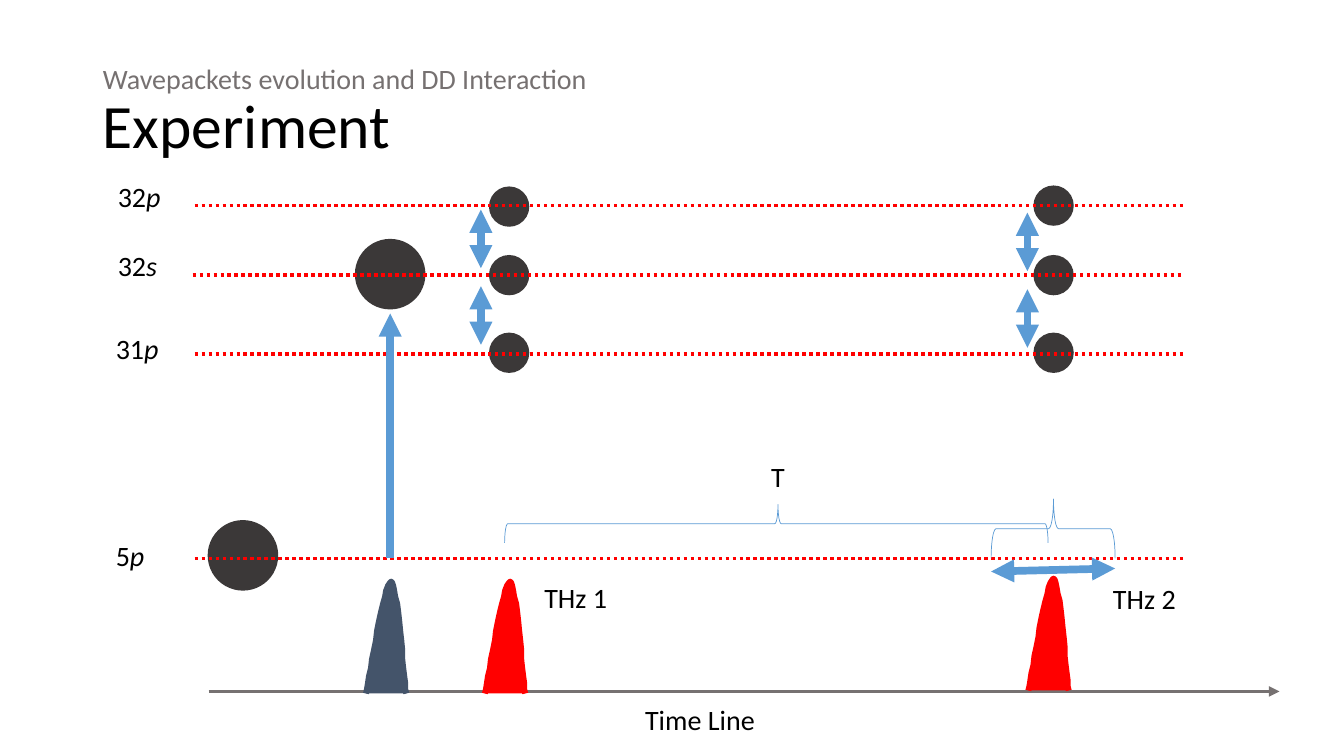
from lxml import etree
from pptx import Presentation
from pptx import util as u
from pptx.dml.color import RGBColor
from pptx.enum import dml, shapes, text
from pptx.oxml.ns import qn

INK = {"black": "000000", "grey": "767171", "ball": "3B3838", "red": "FF0000",
       "blue": "5B9BD5", "navy": "44546A"}
SCALE = 9144


def px(num):
    """Turn px, a hundred to the inch, into EMU."""
    return u.Emu(num * SCALE)


def curve(a, b, c, d, steps=16):
    """List the points of a cubic curve after its start."""
    out = []
    for i in range(1, steps + 1):
        t = i / steps
        s = 1 - t
        out.append(tuple(s**3 * p + 3 * s * s * t * q + 3 * s * t * t * r + t**3 * e
                         for p, q, r, e in zip(a, b, c, d)))
    return out


class Board:
    """Holds the style and the current slide."""

    def __init__(self, deck, font="Calibri", size=20):
        """Add a title-only slide."""
        self.slide = deck.slides.add_slide(deck.slide_layouts[5])
        self.items = self.slide.shapes
        self.font, self.size = font, size

    def tint(self, name):
        """Look up a colour."""
        return RGBColor.from_string(INK[name])

    def run(self, para, words, size=None, ink="black", slant=None):
        """Add one styled run."""
        run = para.add_run()
        run.text = words
        font = run.font
        font.name, font.size = self.font, u.Pt(size or self.size)
        font.color.rgb, font.italic = self.tint(ink), slant

    def title(self, box, small, large):
        """Fill the title with a small line over a large one."""
        head = self.items.title
        head.left, head.top, head.width, head.height = map(px, box)
        frame = head.text_frame
        frame.auto_size = text.MSO_AUTO_SIZE.NONE
        frame.vertical_anchor = text.MSO_ANCHOR.MIDDLE
        para = frame.paragraphs[0]
        para.alignment, para.line_spacing = text.PP_ALIGN.LEFT, 0.9
        self.run(para, small, ink="grey")
        para.add_line_break()
        self.run(para, large, size=44)

    def label(self, x, y, wide, words, state=None):
        """Add a text box, with an italic state letter if given."""
        frame = self.items.add_textbox(px(x), px(y), px(wide), px(44)).text_frame
        frame.word_wrap = True
        frame.auto_size = text.MSO_AUTO_SIZE.SHAPE_TO_FIT_TEXT
        para = frame.paragraphs[0]
        self.run(para, words)
        if state:
            self.run(para, state, slant=True)

    def ball(self, x, y, wide):
        """Add a dark disc."""
        disc = self.items.add_shape(shapes.MSO_SHAPE.OVAL, px(x), px(y), px(wide), px(wide))
        disc.shadow.inherit = False
        disc.fill.solid()
        disc.fill.fore_color.rgb = self.tint("ball")
        disc.line.fill.background()

    def line(self, start, end, ink, weight, ends=(), dots=False):
        """Add a line with optional arrowheads or dots."""
        bar = self.items.add_connector(shapes.MSO_CONNECTOR.STRAIGHT,
                                       *map(px, (*start, *end)))
        bar.line.color.rgb, bar.line.width = self.tint(ink), u.Pt(weight)
        if dots:
            bar.line.dash_style = dml.MSO_LINE.ROUND_DOT
        props = bar._element.spPr
        for end in ends:
            etree.SubElement(props.find(qn("a:ln")), qn(f"a:{end}End"), type="triangle")
        etree.SubElement(props, qn("a:effectLst"))

    def pulse(self, x, y, ink):
        """Add a leaning pulse whose peak is at x, y."""
        foot, peak, back = (15, 111), (0, 0), (-25, 111)
        pts = curve(foot, (12, 93), (6, 0), peak) + curve(peak, (-7, 0), (-21, 93), back)
        path = self.items.build_freeform(x + foot[0], y + foot[1], scale=SCALE)
        path.add_line_segments([(x + a, y + b) for a, b in pts], close=False)
        hill = path.convert_to_shape()
        hill.shadow.inherit = False
        hill.fill.solid()
        hill.fill.fore_color.rgb = hill.line.color.rgb = self.tint(ink)
        hill.line.width = u.Pt(4.25)

    def brace(self, x, y, wide, high):
        """Add a brace turned to point up."""
        mark = self.items.add_shape(shapes.MSO_SHAPE.LEFT_BRACE, *map(px, (x, y, wide, high)))
        mark.rotation = 90
        mark.adjustments[0], mark.adjustments[1] = 0.083, 0.497
        mark.shadow.inherit = False
        mark.fill.background()
        mark.line.color.rgb, mark.line.width = self.tint("blue"), u.Pt(0.5)


def main():
    """Draw the experiment and save it."""
    deck = Presentation()
    deck.slide_width, deck.slide_height = px(1333), px(750)
    board = Board(deck)
    board.title((92, 40, 1150, 145), "Wavepackets evolution and DD Interaction", "Experiment")
    board.line((207, 686), (1269, 686), "grey", 2.5, ["tail"])

    for x, y in (206, 516), (352, 237):
        board.ball(x, y, 70)
    for x, top in (485, 185), (1025, 184):
        for y in top, 253, 330:
            board.ball(x, y, 40)

    levels = [("32", "p", 193, 204, 107, 173, 86), ("32", "s", 191, 273, 107, 242, 86),
              ("31", "p", 193, 351, 105, 324, 86), ("5", "p", 193, 554, 105, 529, 56)]
    for num, state, x, y, left, top, wide in levels:
        board.line((x, y), (x + 980, y), "red", 2.5, dots=True)
        board.label(left, top, wide, num, state)

    board.line((387, 554), (387, 311), "blue", 5.5, ["tail"])
    for x, y, ink in (388, 577, "navy"), (506, 577, "red"), (1045, 574, "red"):
        board.pulse(x, y, ink)

    both = ["head", "tail"]
    for x, top in (477, 208), (1019, 211):
        for y in top, top + 76:
            board.line((x, y + 58), (x, y), "blue", 5.5, both)
    board.line((1106, 564), (983, 567), "blue", 5.5, both)

    board.brace(751, 250, 38, 539)
    board.brace(1015, 463, 59, 123)
    board.label(630, 692, 216, "Time Line")
    board.label(755, 451, 44, "T")
    board.label(530, 571, 101, "THz 1")
    board.label(1094, 572, 101, "THz 2")
    deck.save("out.pptx")


if __name__ == "__main__":
    main()
